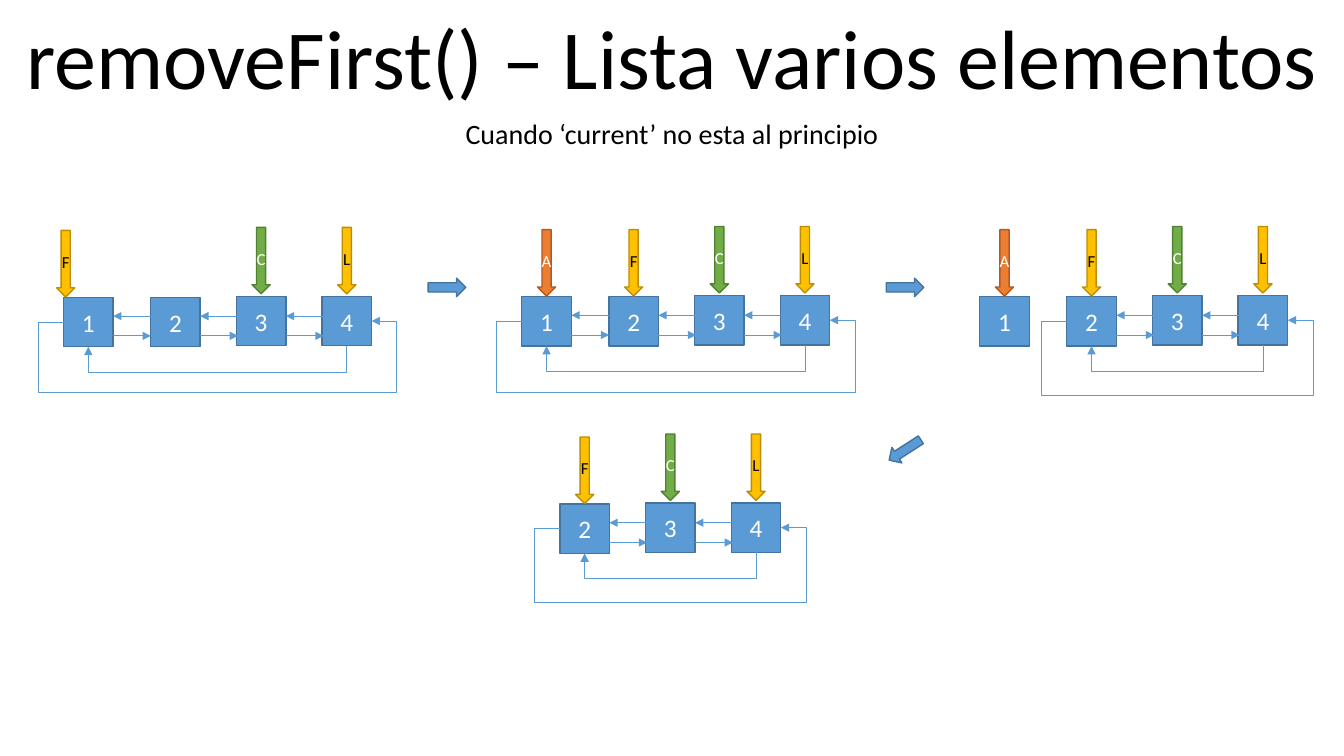
from lxml import etree
from pptx import Presentation
from pptx.dml.color import RGBColor
from pptx.enum.shapes import MSO_CONNECTOR, MSO_SHAPE
from pptx.enum.text import MSO_ANCHOR, MSO_AUTO_SIZE, PP_ALIGN
from pptx.oxml.ns import qn
from pptx.util import Pt

RECT, DOWN, RIGHT = MSO_SHAPE.RECTANGLE, MSO_SHAPE.DOWN_ARROW, MSO_SHAPE.RIGHT_ARROW
STRAIGHT, ELBOW = MSO_CONNECTOR.STRAIGHT, MSO_CONNECTOR.ELBOW
MIDDLE, TOP, CENTER = MSO_ANCHOR.MIDDLE, MSO_ANCHOR.TOP, PP_ALIGN.CENTER
FIXED = MSO_AUTO_SIZE.NONE

BLUE, EDGE, WHITE, BLACK = "5B9BD5", "43739E", "FFFFFF", "000000"
GOLD = ("FFC000", "BD8E00", BLACK)
TAGS = {
    "F": GOLD,
    "L": GOLD,
    "C": ("70AD47", "538035", WHITE),
    "A": ("ED7D31", "AF5C24", WHITE),
}

SIDE = 35.4
TAG_W, TAG_H = 13, 47.5
LINK = 27
# Offsets of each numbered node from the corner of its list
NODES = {1: (0, 0.7), 2: (62.2, 0.7), 3: (123.4, 0), 4: (184.6, 0)}


def color(code):
    return RGBColor.from_string(code)


def apply(thing, values):
    for name, value in values.items():
        setattr(thing, name, value)


def write(shape, text, size, ink, anchor, wrap):
    frame = shape.text_frame
    apply(frame, {"word_wrap": wrap, "auto_size": FIXED, "vertical_anchor": anchor})
    if not wrap:
        apply(frame, dict.fromkeys(
            ("margin_left", "margin_right", "margin_top", "margin_bottom"), 0))
    frame.text = text
    para = frame.paragraphs[0]
    para.alignment = CENTER
    apply(para.font, {"name": "Calibri", "size": Pt(size)})
    para.font.color.rgb = color(ink)


def block(shapes, kind, x, y, w, h, fill=BLUE, edge=EDGE):
    shape = shapes.add_shape(kind, Pt(x), Pt(y), Pt(w), Pt(h))
    shape.shadow.inherit = False
    shape.fill.solid()
    shape.fill.fore_color.rgb = color(fill)
    shape.line.color.rgb = color(edge)
    shape.line.width = Pt(1)
    return shape


def arrow(shapes, kind, x1, y1, x2, y2):
    line = shapes.add_connector(kind, Pt(x1), Pt(y1), Pt(x2), Pt(y2))
    line.line.color.rgb = color(BLUE)
    line.line.width = Pt(0.5)
    pen = line.line._get_or_add_ln()
    etree.SubElement(pen, qn("a:tailEnd"), type="triangle")
    etree.SubElement(line._element.spPr, qn("a:effectLst"))
    return line


def bend(line, preset, *ratios):
    """Set the bends of an elbow, as shares of its width or height."""
    geom = line._element.spPr.find(qn("a:prstGeom"))
    geom.set("prst", preset)
    guides = geom.find(qn("a:avLst"))
    for i, ratio in enumerate(ratios, 1):
        etree.SubElement(guides, qn("a:gd"), name=f"adj{i}",
                         fmla=f"val {round(ratio * 100000)}")


def wrap_on(shapes, x1, y1, x2, y2, depth):
    """Link the first node's left side to the last node's right side."""
    line = arrow(shapes, ELBOW, x1, y1, x2, y2)
    out = 18 / (x2 - x1)
    bend(line, "bentConnector5", -out, -depth / (y1 - y2), 1 + out)


def wrap_back(shapes, x1, y1, x2, y2):
    """Link the last node's bottom to the first node's bottom."""
    line = arrow(shapes, ELBOW, x1, y1, x2, y2)
    wide, high = x1 - x2, y2 - y1
    apply(line, {
        "left": Pt((x1 + x2 - high) / 2),
        "top": Pt((y1 + y2 - wide) / 2),
        "width": Pt(high),
        "height": Pt(wide),
    })
    frame = line._element.spPr.find(qn("a:xfrm"))
    frame.attrib.pop("flipH", None)
    frame.set("rot", str(90 * 60000))
    bend(line, "bentConnector3", 18.5 / high)


def chain(slide, left, top, tags, first, depth, shift=0):
    """Draw the list from its first linked node; tags maps nodes to letters."""
    shapes = slide.shapes.add_group_shape().shapes
    spots = {n: (left + dx, top + dy) for n, (dx, dy) in NODES.items()}
    for n, (x, y) in spots.items():
        if n >= first or n in tags:
            node = block(shapes, RECT, x, y, SIDE, SIDE)
            write(node, str(n), 18, WHITE, MIDDLE, False)
        if n in tags:
            fill, edge, ink = TAGS[tags[n]]
            tag_x = x + (SIDE - TAG_W) / 2 + (shift if n == 1 else 0)
            gap = 0.2 if n < 3 else 1.7
            tag = block(shapes, DOWN, tag_x, y - TAG_H - gap, TAG_W, TAG_H, fill, edge)
            write(tag, tags[n], 12, ink, MIDDLE, False)
    for n in range(first, 4):
        x = spots[n][0] + SIDE
        arrow(shapes, STRAIGHT, x + LINK, top + 14.2, x, top + 14.2)
        arrow(shapes, STRAIGHT, x, top + 28.3, x + LINK, top + 28.3)
    (x1, y1), (x2, y2) = spots[first], spots[4]
    half = SIDE / 2
    wrap_on(shapes, x1, y1 + half, x2 + SIDE, y2 + half, depth)
    wrap_back(shapes, x2 + half, y2 + SIDE, x1 + half, y1 + SIDE)


def heading(shape, text, size, top, high):
    apply(shape, {"left": Pt(0.5), "top": Pt(top), "width": Pt(959), "height": Pt(high)})
    write(shape, text, size, BLACK, TOP, True)


def main():
    deck = Presentation()
    apply(deck, {"slide_width": Pt(960), "slide_height": Pt(540)})
    slide = deck.slides.add_slide(deck.slide_layouts[5])
    heading(slide.shapes.title, "removeFirst() – Lista varios elementos", 60, 0, 80)
    note = slide.shapes.add_textbox(0, 0, 0, 0)
    heading(note, "Cuando ‘current’ no esta al principio", 20, 80, 31.5)

    chain(slide, 45.4, 211.6, {1: "F", 3: "C", 4: "L"}, 1, 50, -16.2)
    chain(slide, 372.7, 211, {1: "A", 2: "F", 3: "C", 4: "L"}, 1, 50)
    chain(slide, 699.8, 211, {1: "A", 2: "F", 3: "C", 4: "L"}, 2, 52.3)
    chain(slide, 337.7, 359.2, {2: "F", 3: "C", 4: "L"}, 2, 52.3)

    for x, y, turn in ((305.8, 198.7, 0), (633, 198.7, 0), (633, 314.8, 147.3)):
        step = block(slide.shapes, RIGHT, x, y, 26.9, 13.2)
        step.rotation = turn
    deck.save("out.pptx")


if __name__ == "__main__":
    main()
